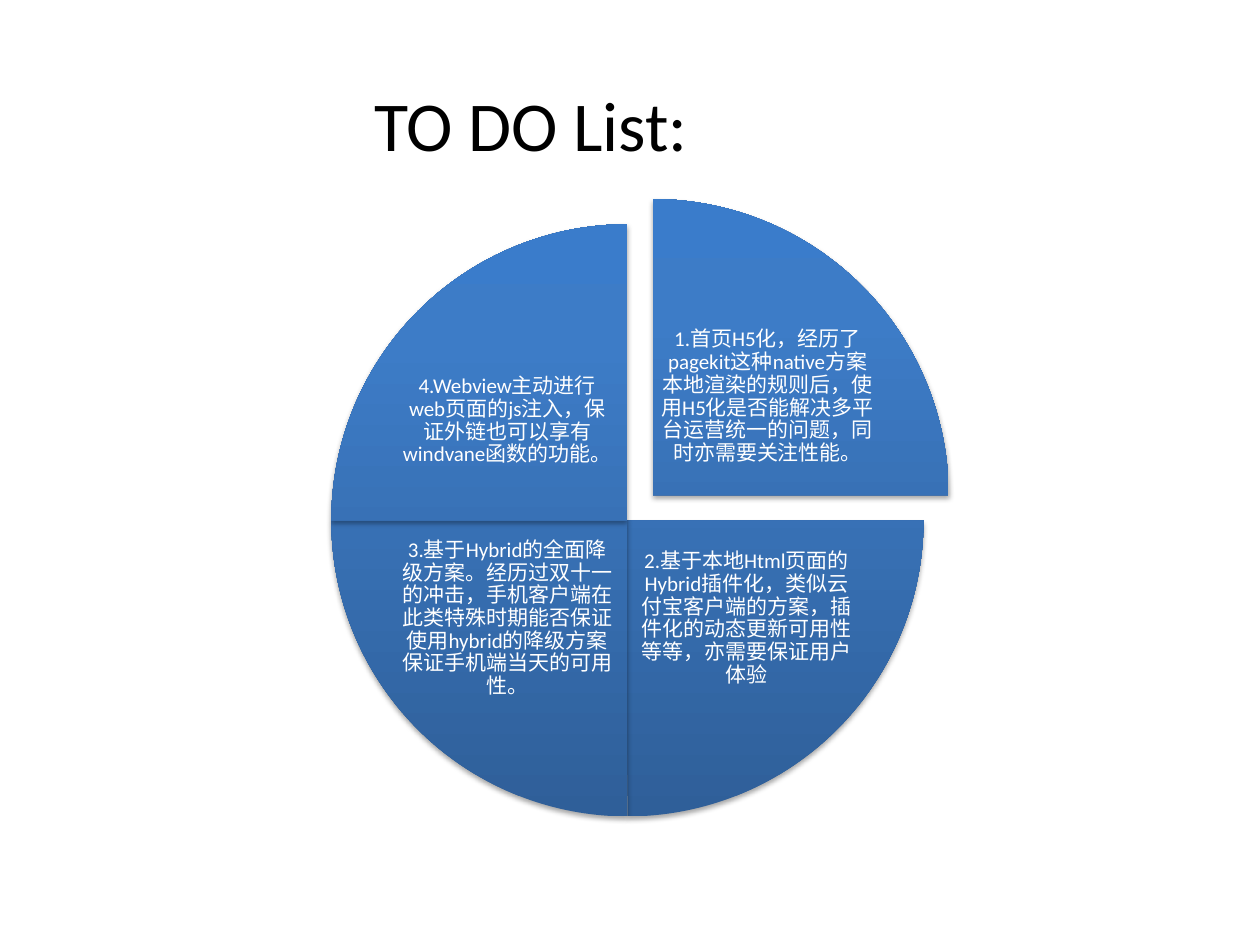
from lxml import etree
from pptx import Presentation
from pptx import util as u
from pptx.dml.color import RGBColor
from pptx.enum import shapes, text
from pptx.oxml import parse_xml
from pptx.oxml.ns import nsdecls, qn

WIDTH, HEIGHT = u.Inches(10), u.Inches(7.5)
DIAMETER = u.Inches(4.7)
PIE_LEFT, PIE_TOP = u.Inches(2.63), u.Inches(1.78)
PULL_OUT = u.Inches(0.2)
QUARTER = 54  # a quarter turn in adjustment units
FULL_TURN = 4 * QUARTER
GRADIENT = [(0, "2F5F99"), (80, "3D7CC7"), (100, "3A7CCB")]

# Text, label corner as shares of the pie's diameter, pulled out of the pie or not
TASKS = [
    ("1.首页H5化，经历了pagekit这种native方案本地渲染的规则后，"
     "使用H5化是否能解决多平台运营统一的问题，同时亦需要关注性能。", 0.51, 0.185, True),
    ("2.基于本地Html页面的Hybrid插件化，类似云付宝客户端的方案，"
     "插件化的动态更新可用性等等，亦需要保证用户体验", 0.517, 0.517, False),
    ("3.基于Hybrid的全面降级方案。经历过双十一的冲击，手机客户端在此类特殊时期"
     "能否保证使用hybrid的降级方案保证手机端当天的可用性。", 0.113, 0.517, False),
    ("4.Webview主动进行web页面的js注入，保证外链也可以享有windvane函数的功能。",
     0.113, 0.183, False),
]


def colour(value):
    return RGBColor.from_string(value)


def add_run(paragraph, wording, size, hex_colour):
    run = paragraph.add_run()
    run.text = wording
    run.font.name = "Calibri"
    run.font.size = u.Pt(size)
    run.font.color.rgb = colour(hex_colour)


def shade(shape):
    """Give a shape the vertical gradient, no outline and a soft shadow below."""
    stops = "".join(
        f'<a:gs pos="{share * 1000}"><a:srgbClr val="{value}"/></a:gs>'
        for share, value in GRADIENT)
    properties = shape.element.spPr
    properties.append(parse_xml(
        f'<a:gradFill {nsdecls("a")} rotWithShape="1"><a:gsLst>{stops}</a:gsLst>'
        '<a:lin ang="16200000" scaled="0"/></a:gradFill>'))
    shape.line.fill.background()
    effects = etree.SubElement(properties, qn("a:effectLst"))
    effects.append(parse_xml(
        f'<a:outerShdw {nsdecls("a")} blurRad="{u.Pt(3.1)}" dist="{u.Pt(1.8)}" '
        'dir="5400000" rotWithShape="0"><a:srgbClr val="000000">'
        '<a:alpha val="35000"/></a:srgbClr></a:outerShdw>'))


def add_heading(slide, left, top, width, height):
    heading = slide.shapes.title
    heading.left, heading.top, heading.width, heading.height = left, top, width, height
    frame = heading.text_frame
    frame.auto_size = text.MSO_AUTO_SIZE.SHAPE_TO_FIT_TEXT
    frame.vertical_anchor = text.MSO_ANCHOR.TOP
    frame.paragraphs[0].alignment = text.PP_ALIGN.LEFT
    add_run(frame.paragraphs[0], "TO DO List:", 40, "000000")


def add_label(group, wording, left, top, width, height):
    label = group.shapes.add_textbox(left, top, width, height)
    frame = label.text_frame
    frame.word_wrap = True
    frame.vertical_anchor = text.MSO_ANCHOR.MIDDLE
    frame.margin_left = frame.margin_right = u.Inches(0.02)
    frame.margin_top = frame.margin_bottom = u.Inches(0.02)
    paragraph = frame.paragraphs[0]
    paragraph.alignment = text.PP_ALIGN.CENTER
    paragraph.line_spacing = 0.9
    paragraph.space_after = u.Pt(4.2)
    add_run(paragraph, wording, 12, "FFFFFF")


def add_task_pie(slide, left, top, diameter):
    """Place one quarter per task, clockwise from twelve o'clock."""
    group = slide.shapes.add_group_shape()
    for index, (wording, across, down, pulled) in enumerate(TASKS):
        shift = PULL_OUT if pulled else 0
        x, y = left + shift, top - shift
        quarter = group.shapes.add_shape(
            shapes.MSO_SHAPE.PIE, x, y, diameter, diameter)
        start = (index + 3) * QUARTER % FULL_TURN
        quarter.adjustments[0] = start
        quarter.adjustments[1] = (start + QUARTER) % FULL_TURN
        shade(quarter)
        add_label(group, wording,
                  x + int(across * diameter), y + int(down * diameter),
                  int(0.368 * diameter), int(0.298 * diameter))


def main():
    deck = Presentation()
    deck.slide_width, deck.slide_height = WIDTH, HEIGHT
    slide = deck.slides.add_slide(deck.slide_layouts.get_by_name("Title Only"))
    add_heading(slide, int(0.287 * WIDTH), int(0.08 * HEIGHT),
                int(0.543 * WIDTH), int(0.103 * HEIGHT))
    add_task_pie(slide, PIE_LEFT, PIE_TOP, DIAMETER)
    deck.save("out.pptx")


if __name__ == "__main__":
    main()
